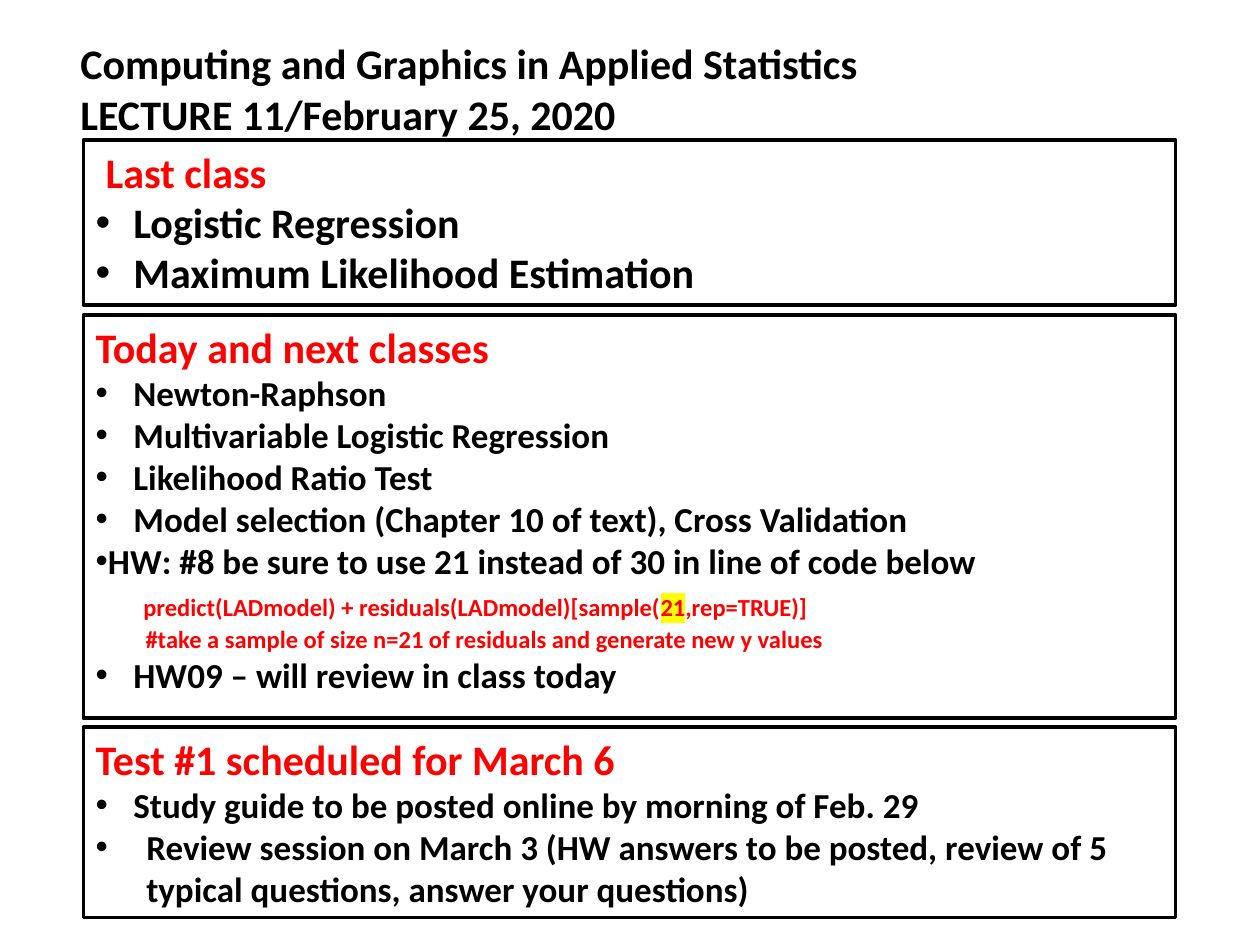
from lxml import etree
from pptx import Presentation
from pptx.dml.color import RGBColor
from pptx.enum.shapes import MSO_SHAPE
from pptx.enum.text import MSO_ANCHOR, PP_ALIGN
from pptx.oxml.ns import qn
from pptx.util import Cm, Pt

RECTANGLE = MSO_SHAPE.RECTANGLE
TOP = MSO_ANCHOR.TOP
LEFT = PP_ALIGN.LEFT

COLOURS = {"ink": "000000", "accent": "FF0000", "paper": "FFFFFF", "marker": "FFFF00"}
HEADING_SIZE, BODY_SIZE, CODE_SIZE = 24, 20, 14
PANEL_LEFT, PANEL_WIDTH = 1.68, 22.02
BULLET_INDENT, WIDE_INDENT = 0.76, 1.02


def colour(name):
    return RGBColor.from_string(COLOURS[name])


class LectureSlide:
    font_name = "Calibri"

    def __init__(self, slide):
        self.slide = slide

    def title(self, left, top, width, height, lines):
        box = self.slide.shapes.add_textbox(Cm(left), Cm(top), Cm(width), Cm(height))
        frame = box.text_frame
        frame.word_wrap = True
        for line in lines:
            self.run(self.paragraph(frame), line, HEADING_SIZE)

    def panel(self, top, height, heading, heading_indent=0):
        """Draw a framed panel with its heading and return its text frame."""
        shape = self.slide.shapes.add_shape(
            RECTANGLE, Cm(PANEL_LEFT), Cm(top), Cm(PANEL_WIDTH), Cm(height))
        shape.shadow.inherit = False
        shape.fill.solid()
        shape.fill.fore_color.rgb = colour("paper")
        shape.line.color.rgb = colour("ink")
        shape.line.width = Pt(2)
        frame = shape.text_frame
        frame.word_wrap = True
        frame.vertical_anchor = TOP
        paragraph = self.paragraph(frame, margin=heading_indent)
        self.run(paragraph, heading, HEADING_SIZE, "accent")
        return frame

    def paragraph(self, frame, level=0, margin=0, hanging=0):
        """Reuse the empty first paragraph, or add another."""
        first = frame.paragraphs[0]
        paragraph = frame.add_paragraph() if first.runs else first
        paragraph.alignment = LEFT
        paragraph.level = level
        properties = paragraph._p.get_or_add_pPr()
        properties.set("marL", str(Cm(margin)))
        properties.set("indent", str(Cm(-hanging)))
        return paragraph

    def bullet(self, frame, text, size=BODY_SIZE, indent=BULLET_INDENT):
        paragraph = self.paragraph(frame, level=1, margin=indent, hanging=indent)
        properties = paragraph._p.get_or_add_pPr()
        etree.SubElement(properties, qn("a:buFont")).set("typeface", "Arial")
        etree.SubElement(properties, qn("a:buChar")).set("char", "•")
        self.run(paragraph, text, size)

    def run(self, paragraph, text, size, colour_name="ink", highlight=None):
        run = paragraph.add_run()
        run.text = text
        run.font.size = Pt(size)
        run.font.bold = True
        run.font.color.rgb = colour(colour_name)
        if highlight:
            marker = etree.SubElement(run.font._element, qn("a:highlight"))
            etree.SubElement(marker, qn("a:srgbClr")).set("val", COLOURS[highlight])
        run.font.name = self.font_name


def main():
    presentation = Presentation()
    presentation.slide_width, presentation.slide_height = Cm(25.4), Cm(19.05)
    lecture = LectureSlide(presentation.slides.add_slide(presentation.slide_layouts[6]))

    lecture.title(1.37, 0.64, 20.32, 3.33, [
        "Computing and Graphics in Applied Statistics",
        "LECTURE 11/February 25, 2020",
    ])

    last_class = lecture.panel(2.82, 3.33, "Last class", heading_indent=0.2)
    for topic in ("Logistic Regression", "Maximum Likelihood Estimation"):
        lecture.bullet(last_class, topic, HEADING_SIZE)

    today = lecture.panel(6.35, 8.13, "Today and next classes")
    for topic in (
        "Newton-Raphson",
        "Multivariable Logistic Regression",
        "Likelihood Ratio Test",
        "Model selection (Chapter 10 of text), Cross Validation",
    ):
        lecture.bullet(today, topic)
    lecture.bullet(today, "HW: #8 be sure to use 21 instead of 30 in line of code below",
                   indent=0)

    code = lecture.paragraph(today, level=1)
    lecture.run(code, "      ", BODY_SIZE)
    lecture.run(code, "predict(LADmodel) + residuals(LADmodel)[sample(", CODE_SIZE, "accent")
    lecture.run(code, "21", CODE_SIZE, "accent", highlight="marker")
    lecture.run(code, ",rep=TRUE)]", CODE_SIZE, "accent")
    comment = lecture.paragraph(today, level=1)
    lecture.run(comment,
                "         #take a sample of size n=21 of residuals and generate new y values",
                CODE_SIZE, "accent")
    lecture.bullet(today, "HW09 – will review in class today")

    test = lecture.panel(14.66, 3.84, "Test #1 scheduled for March 6")
    lecture.bullet(test, "Study guide to be posted online by morning of Feb. 29")
    lecture.bullet(test, "Review session on March 3 (HW answers to be posted, review of 5 "
                   "typical questions, answer your questions)", indent=WIDE_INDENT)

    presentation.save("out.pptx")


if __name__ == "__main__":
    main()
